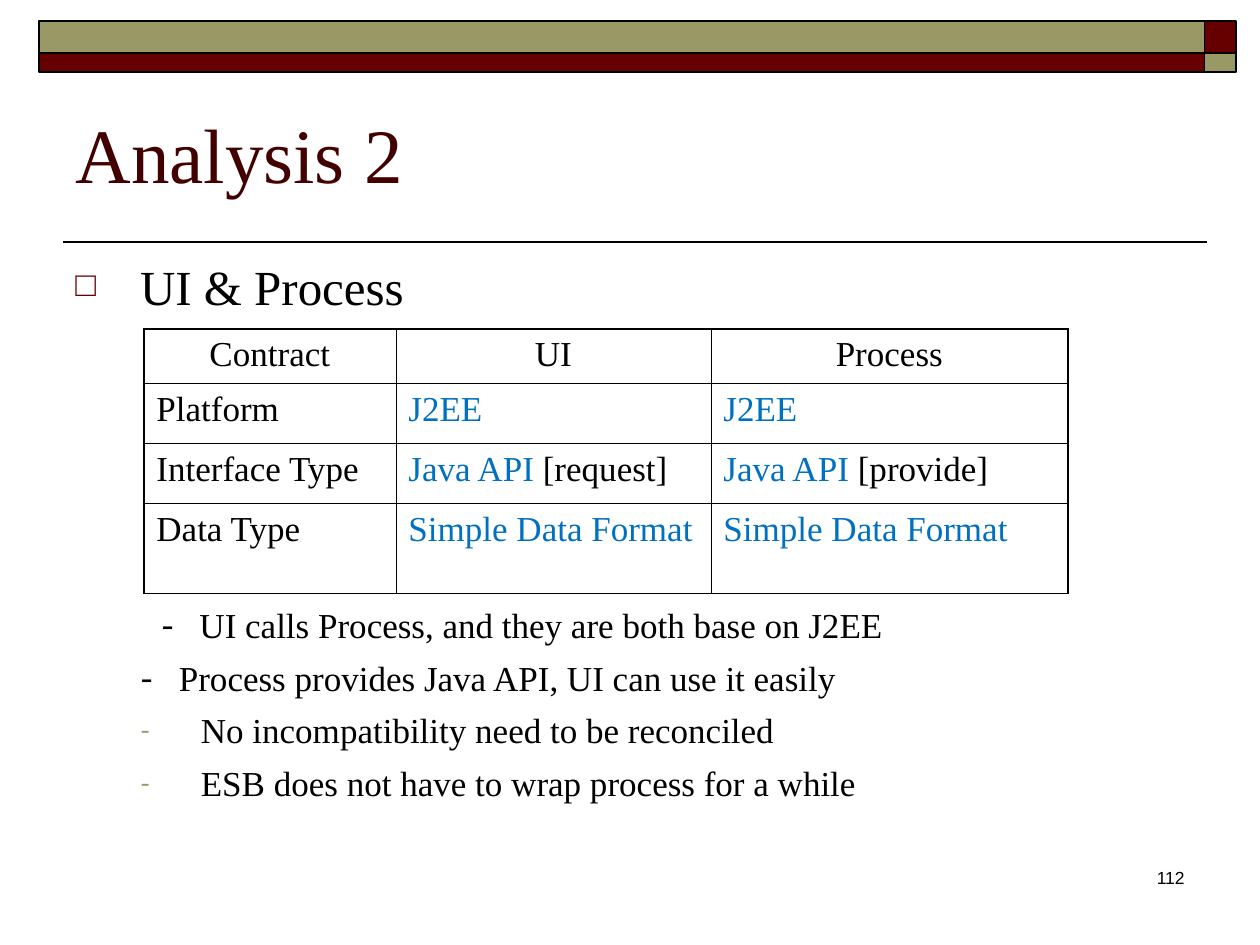
"""Builds the "Analysis 2" slide comparing the UI and Process contracts."""
from lxml import etree
from pptx import Presentation
from pptx import util as u
from pptx.dml.color import RGBColor
from pptx.enum import shapes, text
from pptx.oxml import ns

COLORS = {
    "ink": "000000",
    "title": "420000",
    "maroon": "660000",
    "olive": "999966",
    "shared": "0070C0",
}


def rgb(name):
    return RGBColor.from_string(COLORS[name])


def child(parent, tag, **attributes):
    return etree.SubElement(parent, ns.qn(tag), **attributes)


class Deck:
    """Holds the style and the current slide, and adds each kind of element."""

    serif = "Times New Roman"
    sans = "Arial"
    thin, thick = 0.45, 1.08

    def __init__(self, width, height):
        self.deck = Presentation()
        self.deck.slide_width, self.deck.slide_height = u.Pt(width), u.Pt(height)
        self.slide = self.deck.slides.add_slide(self.deck.slide_layouts[5])

    def style(self, font, size, color="ink", face=None):
        font.name, font.size = face or self.serif, u.Pt(size)
        font.color.rgb = rgb(color)

    def title(self, wording, left, top, width, height):
        title = self.slide.shapes.title
        title.left, title.top = u.Pt(left), u.Pt(top)
        title.width, title.height = u.Pt(width), u.Pt(height)
        title.text_frame.text = wording
        title.text_frame.vertical_anchor = text.MSO_ANCHOR.MIDDLE
        paragraph = title.text_frame.paragraphs[0]
        paragraph.alignment = text.PP_ALIGN.LEFT
        self.style(paragraph.font, 44, "title")

    def bar(self, left, top, width, height, color):
        bar = self.slide.shapes.add_shape(
            shapes.MSO_SHAPE.RECTANGLE, *map(u.Pt, (left, top, width, height)))
        bar.shadow.inherit = False
        bar.fill.solid()
        bar.fill.fore_color.rgb = rgb(color)
        bar.line.color.rgb = rgb("ink")
        bar.line.width = u.Pt(1)

    def rule(self, left, right, y):
        rule = self.slide.shapes.add_connector(
            shapes.MSO_CONNECTOR.STRAIGHT, *map(u.Pt, (left, y, right, y)))
        rule.line.color.rgb = rgb("ink")
        rule.line.width = u.Pt(1)
        child(rule._element.spPr, "a:effectLst")

    def textbox(self, left, top, width, height):
        box = self.slide.shapes.add_textbox(*map(u.Pt, (left, top, width, height)))
        box.text_frame.word_wrap = True
        return box.text_frame

    def label(self, wording, left, top, width, height):
        paragraph = self.textbox(left, top, width, height).paragraphs[0]
        paragraph.text = wording
        paragraph.alignment = text.PP_ALIGN.RIGHT
        self.style(paragraph.font, 10, face=self.sans)

    def bullets(self, items, left, top, width, height, size):
        frame = self.textbox(left, top, width, height)
        for index, (wording, mark, color, percent, margin, hang) in enumerate(items):
            paragraph = frame.add_paragraph() if index else frame.paragraphs[0]
            paragraph.text = wording
            props = paragraph._p.get_or_add_pPr()
            props.set("marL", str(u.Pt(margin)))
            props.set("indent", str(-u.Pt(hang)))
            child(child(props, "a:buClr"), "a:srgbClr", val=COLORS[color])
            child(props, "a:buSzPct", val=str(percent * 1000))
            child(props, "a:buFont", typeface=self.serif)
            child(props, "a:buChar", char=mark)
            if index:
                paragraph.space_before = u.Pt(6)
            self.style(paragraph.font, size)

    def border(self, cell, widths):
        props = cell._tc.get_or_add_tcPr()
        for position, (side, width) in enumerate(zip("LRTB", widths)):
            edge = etree.Element(ns.qn(f"a:ln{side}"), w=str(u.Pt(width)))
            child(child(edge, "a:solidFill"), "a:srgbClr", val=COLORS["ink"])
            props.insert(position, edge)

    def table(self, rows, left, top, widths, heights):
        table = self.slide.shapes.add_table(
            len(rows), len(widths),
            *map(u.Pt, (left, top, sum(widths), sum(heights)))).table
        table.first_row = table.horz_banding = False
        for column, width in zip(table.columns, widths):
            column.width = u.Pt(width)
        for row, height in zip(table.rows, heights):
            row.height = u.Pt(height)
        last_row, last_col = len(heights) - 1, len(widths) - 1
        for r, row in enumerate(rows):
            for c, runs in enumerate(row):
                cell = table.cell(r, c)
                cell.fill.background()
                outer = (c == 0, c == last_col, r == 0, r == last_row)
                self.border(cell, [self.thick if edge else self.thin for edge in outer])
                paragraph = cell.text_frame.paragraphs[0]
                if r == 0:
                    paragraph.alignment = text.PP_ALIGN.CENTER
                for wording, color in runs:
                    run = paragraph.add_run()
                    run.text = wording
                    self.style(run.font, 20, color)


def ink(wording):
    return [(wording, "ink")]


def shared(wording, remark=None):
    return [(wording, "shared")] + (ink(remark) if remark else [])


def main():
    deck = Deck(720, 540)

    deck.rule(36, 690, 138.2)
    band_columns = [(22.3, 666), (688.3, 18)]
    band_rows = [(12.2, 18), (30.2, 10.8)]
    for r, (top, height) in enumerate(band_rows):
        for c, (left, width) in enumerate(band_columns):
            deck.bar(left, top, width, height, ("olive", "maroon")[(r + c) % 2])

    deck.title("Analysis 2", 36, 42, 648, 90)
    deck.bullets([("UI & Process", "□", "maroon", 70, 37, 37)],
                 36, 142.8, 648, 42, 28)

    contracts = [
        [ink("Contract"), ink("UI"), ink("Process")],
        [ink("Platform"), shared("J2EE"), shared("J2EE")],
        [ink("Interface Type"), shared("Java API", " [request]"),
         shared("Java API", " [provide]")],
        [ink("Data Type"), shared("Simple Data Format"), shared("Simple Data Format")],
    ]
    deck.table(contracts, 82.2, 188, (144, 180, 204), (31, 34.3, 34.3, 51.4))

    findings = [
        ("UI calls Process, and they are both base on J2EE", "-", "ink", 100, 33.5, 21.5),
        ("Process provides Java API, UI can use it easily", "-", "ink", 100, 21.7, 21.7),
        ("No incompatibility need to be reconciled", "-", "olive", 75, 34.3, 34.3),
        ("ESB does not have to wrap process for a while", "-", "olive", 75, 34.3, 34.3),
    ]
    deck.bullets(findings, 73.4, 341.5, 610, 124, 20)

    deck.label("112", 534, 492, 150, 36)
    deck.deck.save("out.pptx")


if __name__ == "__main__":
    main()
